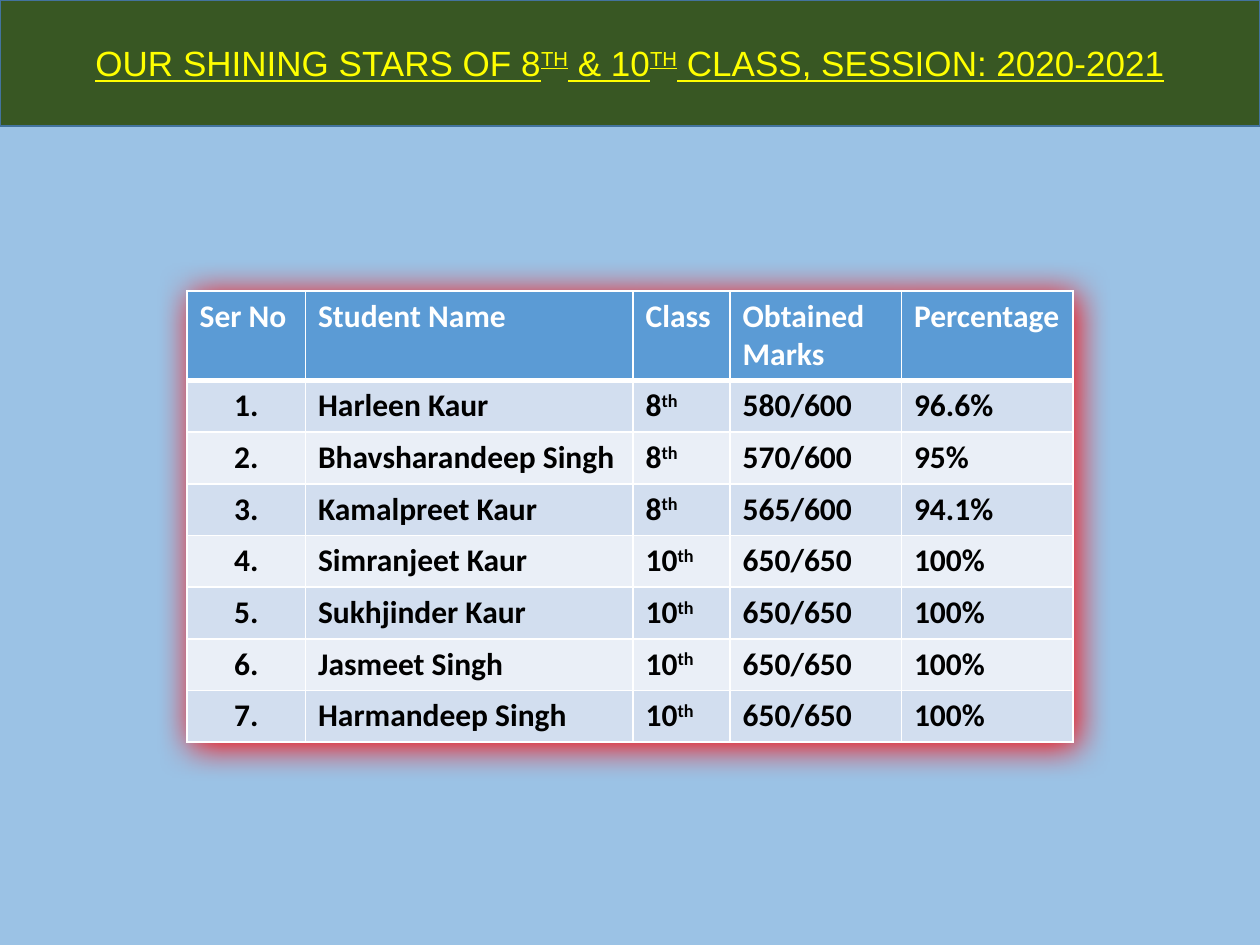
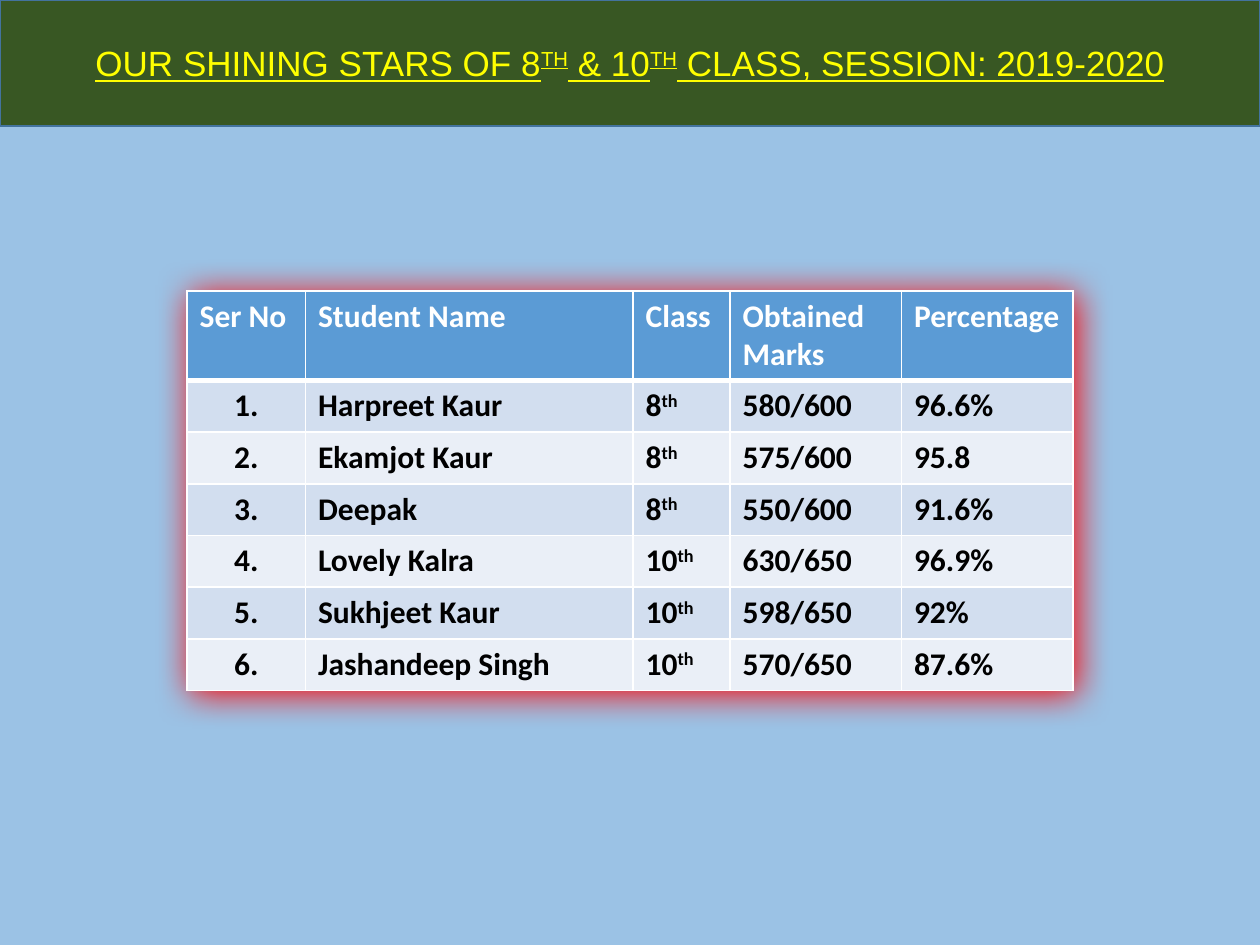
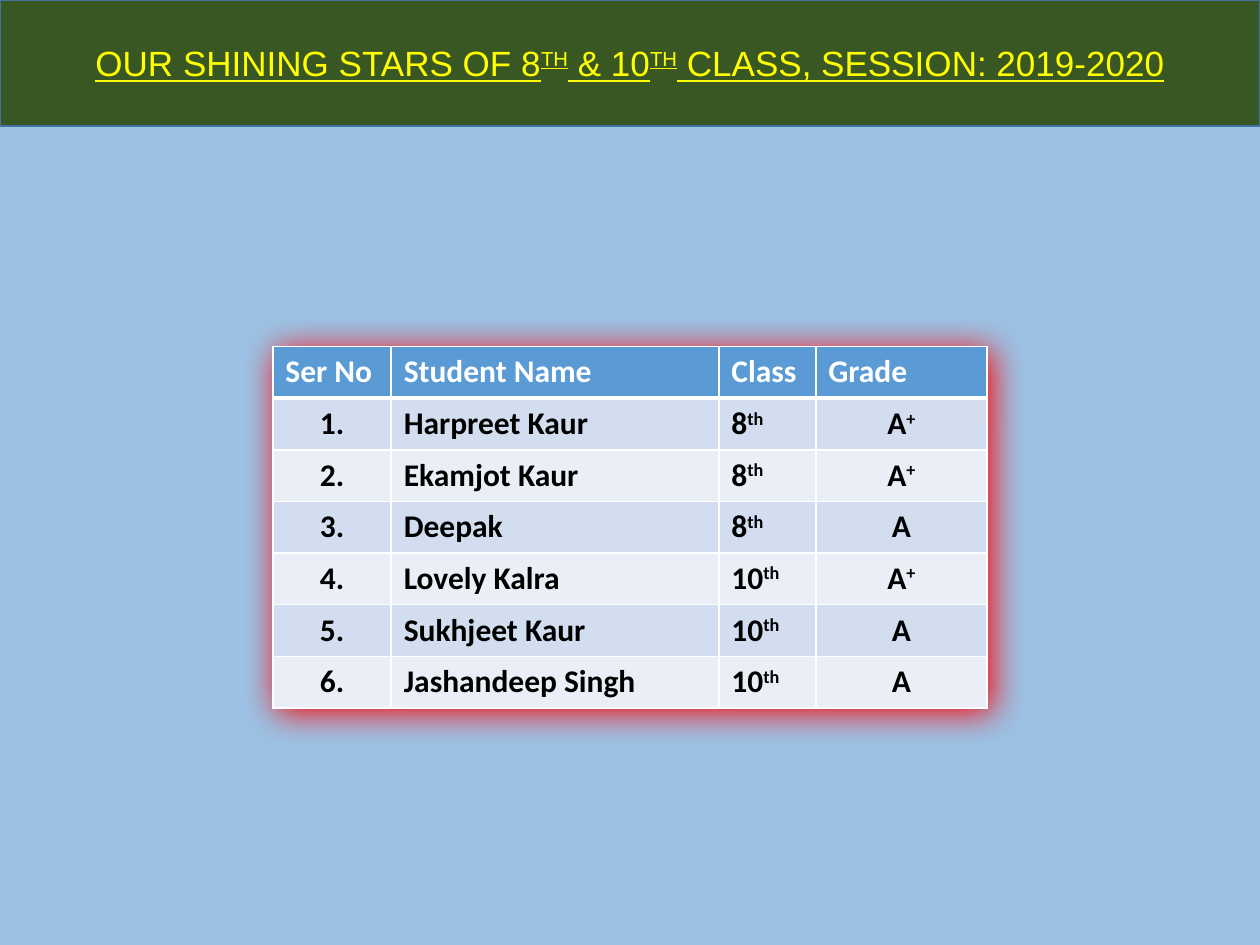
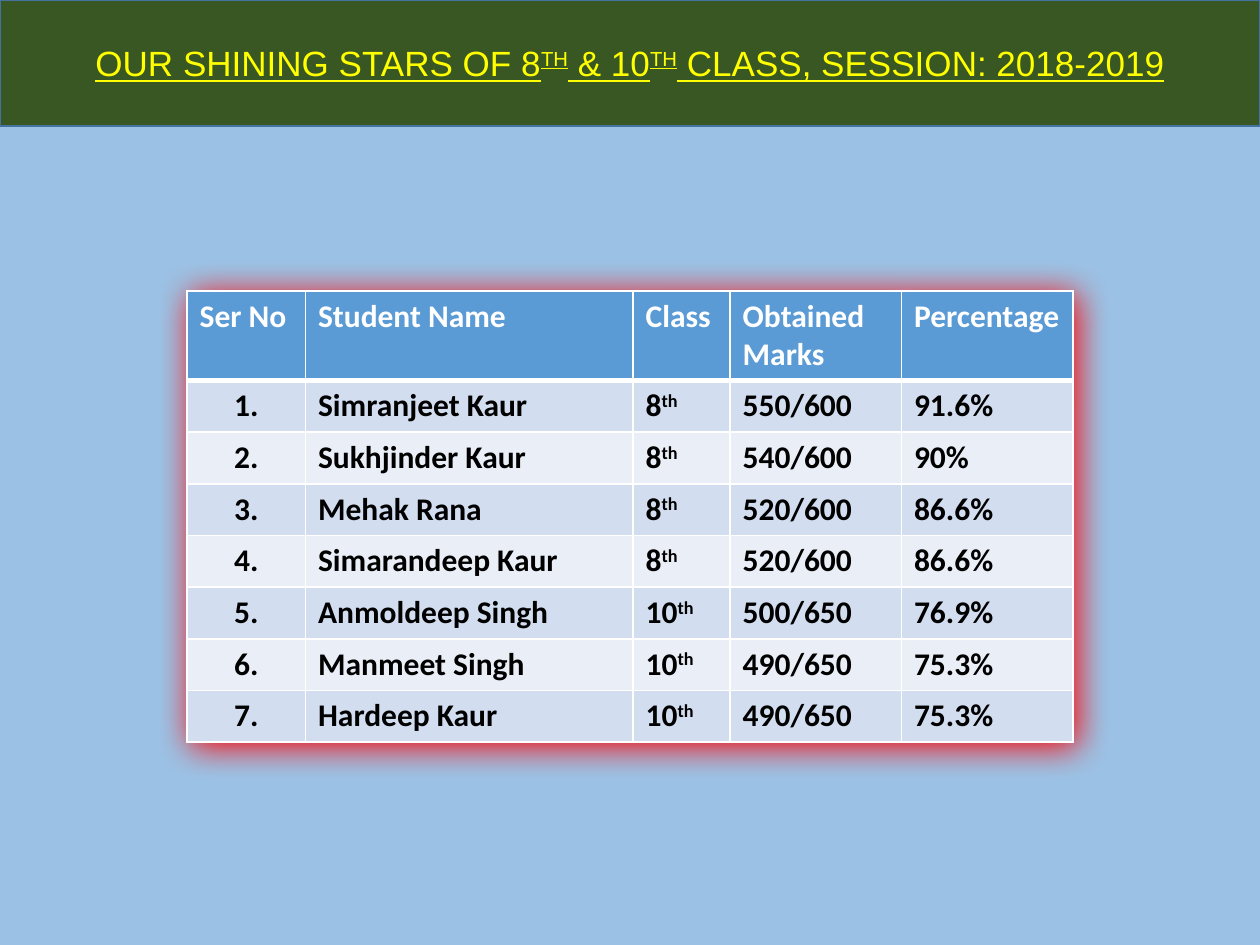
from lxml import etree
from pptx import Presentation
from pptx.dml.color import RGBColor
from pptx.enum.text import MSO_ANCHOR, PP_ALIGN
from pptx.oxml import parse_xml
from pptx.oxml.ns import nsdecls
from pptx.util import Inches, Pt

# Content: ^ marks the start and end of a superscript
TITLE = "OUR SHINING STARS OF 8^TH^ & 10^TH^ CLASS, SESSION: {}"
MARKS_HEAD = ("Ser No", "Student Name", "Class", "Obtained Marks", "Percentage")
GRADE_HEAD = ("Ser No", "Student Name", "Class", "Grade")
C8, C10 = "8^th^", "10^th^"

SLIDES = [
    ("2020-2021", 2.31, MARKS_HEAD, [
        ("Harleen Kaur", C8, "580/600", "96.6%"),
        ("Bhavsharandeep Singh", C8, "570/600", "95%"),
        ("Kamalpreet Kaur", C8, "565/600", "94.1%"),
        ("Simranjeet Kaur", C10, "650/650", "100%"),
        ("Sukhjinder Kaur", C10, "650/650", "100%"),
        ("Jasmeet Singh", C10, "650/650", "100%"),
        ("Harmandeep Singh", C10, "650/650", "100%"),
    ]),
    ("2019-2020", 2.31, MARKS_HEAD, [
        ("Harpreet Kaur", C8, "580/600", "96.6%"),
        ("Ekamjot Kaur", C8, "575/600", "95.8"),
        ("Deepak", C8, "550/600", "91.6%"),
        ("Lovely Kalra", C10, "630/650", "96.9%"),
        ("Sukhjeet Kaur", C10, "598/650", "92%"),
        ("Jashandeep Singh", C10, "570/650", "87.6%"),
    ]),
    ("2019-2020", 2.75, GRADE_HEAD, [
        ("Harpreet Kaur", C8, "A^+^"),
        ("Ekamjot Kaur", C8, "A^+^"),
        ("Deepak", C8, "A"),
        ("Lovely Kalra", C10, "A^+^"),
        ("Sukhjeet Kaur", C10, "A"),
        ("Jashandeep Singh", C10, "A"),
    ]),
    ("2018-2019", 2.31, MARKS_HEAD, [
        ("Simranjeet Kaur", C8, "550/600", "91.6%"),
        ("Sukhjinder Kaur", C8, "540/600", "90%"),
        ("Mehak Rana", C8, "520/600", "86.6%"),
        ("Simarandeep Kaur", C8, "520/600", "86.6%"),
        ("Anmoldeep Singh", C10, "500/650", "76.9%"),
        ("Manmeet Singh", C10, "490/650", "75.3%"),
        ("Hardeep Kaur", C10, "490/650", "75.3%"),
    ]),
]

# Shared look
SKY = RGBColor(0x9B, 0xC2, 0xE5)
GREEN = RGBColor(0x38, 0x57, 0x23)
OUTLINE = RGBColor(0x43, 0x73, 0x9E)
YELLOW = RGBColor(0xFF, 0xFF, 0x00)
WHITE = RGBColor(0xFF, 0xFF, 0xFF)
BLACK = RGBColor(0, 0, 0)
RED = RGBColor(0xFF, 0, 0)
HEAD_FILL = RGBColor(0x5B, 0x9B, 0xD5)
BAND_FILLS = (RGBColor(0xEA, 0xEF, 0xF7), RGBColor(0xD2, 0xDE, 0xEF))

SLIDE_W, SLIDE_H, BAND_H = 10, 7.5, 1
COL_W = (0.94, 2.6, 0.77, 1.36, 1.36)
HEAD_H = {MARKS_HEAD: 0.7, GRADE_HEAD: 0.41}
ROW_H = 0.41
CENTRED = ("Ser No", "Grade")


def write(tf, text, font, size, color, bold=False, underline=False, align=None):
    p = tf.paragraphs[0]
    p.alignment = align
    for i, part in enumerate(text.split("^")):
        if not part:
            continue
        r = p.add_run()
        r.text = part
        f = r.font
        f.name, f.size, f.bold, f.underline = font, Pt(size), bold, underline
        f.color.rgb = color
        if i % 2:
            r._r.get_or_add_rPr().set("baseline", "30000")


def set_borders(cell, row):
    """White lines, with a heavier one between header and body."""
    widths = {"L": 1, "R": 1, "T": 3 if row == 1 else 1, "B": 3 if row == 0 else 1}
    tc_pr = cell._tc.get_or_add_tcPr()
    for i, (side, width) in enumerate(widths.items()):
        tc_pr.insert(i, parse_xml(
            f'<a:ln{side} {nsdecls("a")} w="{Pt(width)}"><a:solidFill>'
            f'<a:srgbClr val="{WHITE}"/></a:solidFill></a:ln{side}>'))


def add_glow(table):
    table._tbl.tblPr.insert(0, parse_xml(
        f'<a:effectLst {nsdecls("a")}><a:outerShdw blurRad="{Inches(0.28)}" '
        f'dist="{Inches(0.04)}" dir="2700000" algn="tl" rotWithShape="0">'
        f'<a:srgbClr val="{RED}"/></a:outerShdw></a:effectLst>'))


def add_title(slide, session):
    sp = slide.shapes.title
    sp.left, sp.top = Inches(0), Inches(0)
    sp.width, sp.height = Inches(SLIDE_W), Inches(BAND_H)
    sp.fill.solid()
    sp.fill.fore_color.rgb = GREEN
    sp.line.color.rgb = OUTLINE
    sp.line.width = Pt(1)
    sp.text_frame.vertical_anchor = MSO_ANCHOR.MIDDLE
    write(sp.text_frame, TITLE.format(session), "Arial", 20, YELLOW,
          underline=True, align=PP_ALIGN.CENTER)


def add_results(slide, top, head, students):
    rows = [head] + [(f"{n}.", *s) for n, s in enumerate(students, 1)]
    widths = COL_W[:len(head)]
    heights = [HEAD_H[head]] + [ROW_H] * len(students)
    width = sum(widths)
    table = slide.shapes.add_table(
        len(rows), len(head), Inches((SLIDE_W - width) / 2), Inches(top),
        Inches(width), Inches(sum(heights))).table
    for col, w in zip(table.columns, widths):
        col.width = Inches(w)
    for row, h in zip(table.rows, heights):
        row.height = Inches(h)
    for i, values in enumerate(rows):
        for j, value in enumerate(values):
            cell = table.cell(i, j)
            cell.fill.solid()
            cell.fill.fore_color.rgb = BAND_FILLS[i % 2] if i else HEAD_FILL
            set_borders(cell, i)
            centred = i and head[j] in CENTRED
            write(cell.text_frame, value, "Calibri", 18, BLACK if i else WHITE,
                  bold=True, align=PP_ALIGN.CENTER if centred else PP_ALIGN.LEFT)
    add_glow(table)


def main():
    prs = Presentation()
    prs.slide_width, prs.slide_height = Inches(SLIDE_W), Inches(SLIDE_H)
    for session, top, head, students in SLIDES:
        slide = prs.slides.add_slide(prs.slide_layouts[5])
        slide.background.fill.solid()
        slide.background.fill.fore_color.rgb = SKY
        add_title(slide, session)
        add_results(slide, top, head, students)
    prs.save("out.pptx")


if __name__ == "__main__":
    main()
